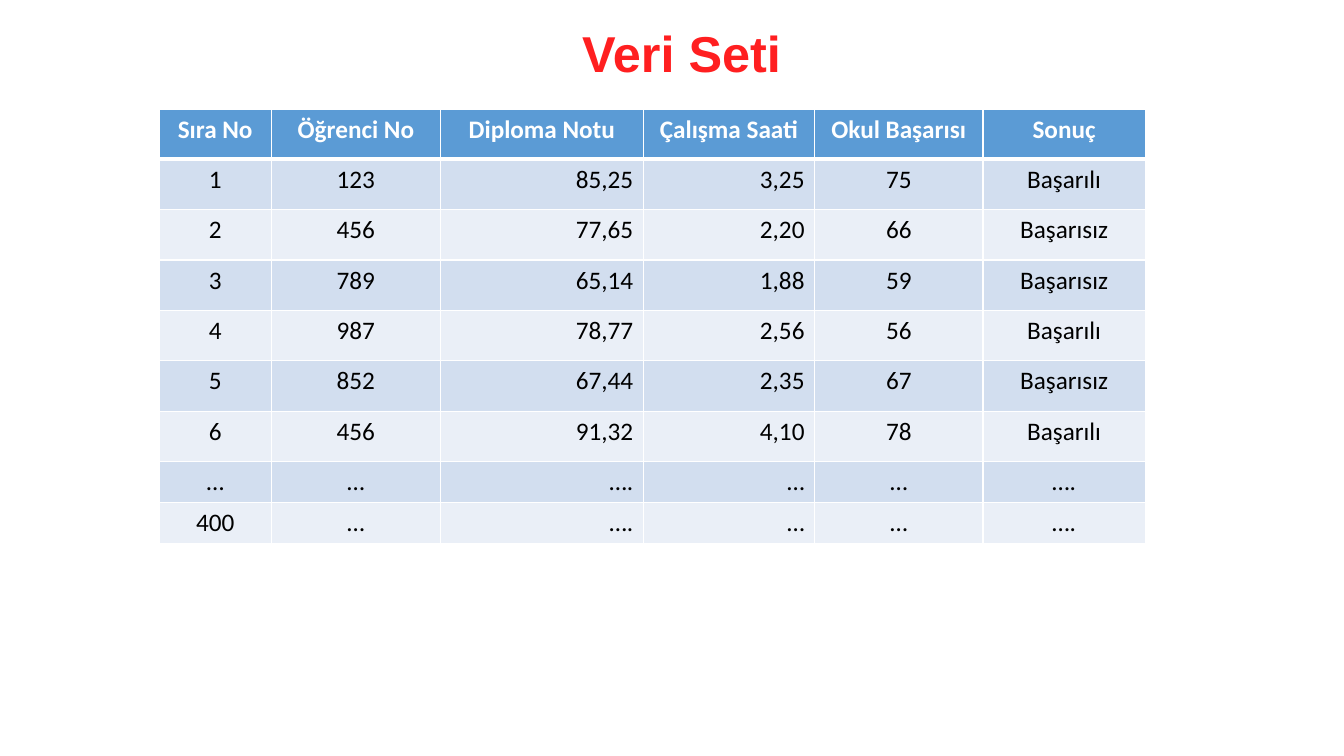
from lxml import etree
from pptx import Presentation
from pptx.dml.color import RGBColor
from pptx.enum.text import MSO_ANCHOR, MSO_AUTO_SIZE, PP_ALIGN
from pptx.oxml.ns import qn
from pptx.util import Inches, Pt

CENTER, RIGHT = PP_ALIGN.CENTER, PP_ALIGN.RIGHT
MIDDLE = MSO_ANCHOR.MIDDLE
NO_AUTOFIT = MSO_AUTO_SIZE.NONE

RED = RGBColor(0xFF, 0x1F, 0x20)
WHITE = RGBColor(0xFF, 0xFF, 0xFF)
BLACK = RGBColor(0, 0, 0)
HEADER_BLUE = RGBColor(0x5B, 0x9B, 0xD5)
BANDS = (RGBColor(0xD2, 0xDE, 0xEF), RGBColor(0xEA, 0xEF, 0xF7))

COLUMN_WIDTHS = (1.11, 1.68, 2.01, 1.7, 1.67, 1.61)
ROW_HEIGHTS = (0.49,) + (0.5,) * 6 + (0.4,) * 2
ALIGNMENTS = (CENTER, CENTER, RIGHT, RIGHT, CENTER, CENTER)
RECORDS = (
    ("Sıra No", "Öğrenci No", "Diploma Notu", "Çalışma Saati", "Okul Başarısı", "Sonuç"),
    ("1", "123", "85,25", "3,25", "75", "Başarılı"),
    ("2", "456", "77,65", "2,20", "66", "Başarısız"),
    ("3", "789", "65,14", "1,88", "59", "Başarısız"),
    ("4", "987", "78,77", "2,56", "56", "Başarılı"),
    ("5", "852", "67,44", "2,35", "67", "Başarısız"),
    ("6", "456", "91,32", "4,10", "78", "Başarılı"),
    ("…", "…", "….", "…", "…", "…."),
    ("400", "…", "….", "…", "…", "…."),
)


def set_font(p, name, size, color, bold):
    p.font.name = name
    p.font.size = Pt(size)
    p.font.color.rgb = color
    p.font.bold = bold


def add_title(s, left, top, width, height):
    sp = s.shapes.title
    sp.left, sp.top = Inches(left), Inches(top)
    sp.width, sp.height = Inches(width), Inches(height)
    tf = sp.text_frame
    tf.word_wrap = True
    tf.auto_size = NO_AUTOFIT
    tf.vertical_anchor = MIDDLE
    p = tf.paragraphs[0]
    p.text = "Veri Seti"
    p.alignment = CENTER
    p.line_spacing = 0.9
    set_font(p, "Arial", 36, RED, True)


def set_borders(cell, top, bottom):
    tc_pr = cell._tc.get_or_add_tcPr()
    for side, width in (("L", 1), ("R", 1), ("T", top), ("B", bottom)):
        ln = etree.SubElement(tc_pr, qn(f"a:ln{side}"), w=str(Pt(width)))
        fill = etree.SubElement(ln, qn("a:solidFill"))
        etree.SubElement(fill, qn("a:srgbClr"), val=str(WHITE))


def fill_cell(cell, text, row, alignment):
    header = row == 0
    set_borders(cell, 3 if row == 1 else 1, 3 if header else 1)
    cell.fill.solid()
    cell.fill.fore_color.rgb = HEADER_BLUE if header else BANDS[(row - 1) % 2]
    p = cell.text_frame.paragraphs[0]
    p.text = text
    p.alignment = CENTER if header else alignment
    set_font(p, "Calibri", 18, WHITE if header else BLACK, header)


def add_data_table(s, left, top):
    table = s.shapes.add_table(
        len(RECORDS), len(COLUMN_WIDTHS), Inches(left), Inches(top),
        Inches(sum(COLUMN_WIDTHS)), Inches(sum(ROW_HEIGHTS))).table
    for column, width in zip(table.columns, COLUMN_WIDTHS):
        column.width = Inches(width)
    for row, (record, height) in enumerate(zip(RECORDS, ROW_HEIGHTS)):
        table.rows[row].height = Inches(height)
        for col, (text, alignment) in enumerate(zip(record, ALIGNMENTS)):
            fill_cell(table.cell(row, col), text, row, alignment)


def main():
    prs = Presentation()
    prs.slide_width, prs.slide_height = Inches(13.33), Inches(7.5)
    s = prs.slides.add_slide(prs.slide_layouts[5])
    add_title(s, 2.15, 0.23, 9.22, 0.65)
    add_data_table(s, 1.58, 1.09)
    prs.save("out.pptx")


if __name__ == "__main__":
    main()
